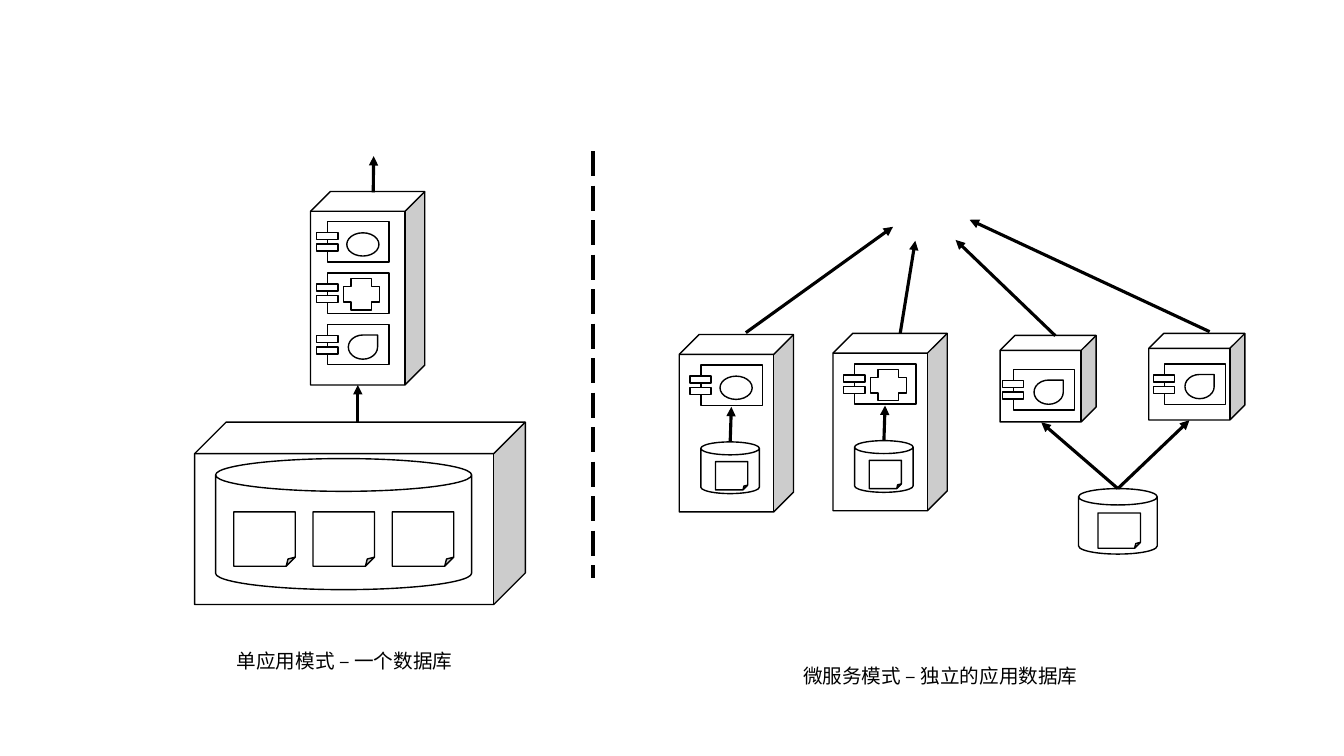
from pptx import Presentation
from pptx.dml.color import RGBColor
from pptx.enum.dml import MSO_LINE
from pptx.enum.shapes import MSO_CONNECTOR, MSO_SHAPE
from pptx.enum.text import MSO_AUTO_SIZE
from pptx.oxml.ns import qn
from pptx.util import Pt
from lxml.etree import SubElement

BLACK = "000000"
WHITE = "FFFFFF"
ICONS = {
    "oval": (MSO_SHAPE.OVAL, 13.7, 7.9, 23, 16.6),
    "plus": (MSO_SHAPE.CROSS, 11.2, 4, 25.9, 22.3),
    "tear": (MSO_SHAPE.TEAR, 14.8, 7.5, 20.9, 17.3),
}


def color(code):
    """Turn a hex string into a colour."""
    return RGBColor.from_string(code)


def add_form(slide, kind, x, y, w, h):
    """Add a white shape with a thin black outline."""
    form = slide.shapes.add_shape(kind, Pt(x), Pt(y), Pt(w), Pt(h))
    form.shadow.inherit = False
    form.fill.solid()
    form.fill.fore_color.rgb = color(WHITE)
    form.line.color.rgb = color(BLACK)
    form.line.width = Pt(1)
    return form


def add_cube(slide, x, y, w, h):
    """Add a host cube."""
    cube = add_form(slide, MSO_SHAPE.CUBE, x, y, w, h)
    cube.adjustments[0] = 0.173


def add_store(slide, x, y, w, h):
    """Add a database can."""
    add_form(slide, MSO_SHAPE.CAN, x, y, w, h)


def add_note(slide, x, y, w, h):
    """Add a sheet with a folded corner."""
    add_form(slide, MSO_SHAPE.FOLDED_CORNER, x, y, w, h)


def add_part(slide, x, y, icon):
    """Add a component box with two tabs and an icon."""
    box = MSO_SHAPE.FLOWCHART_PROCESS
    add_form(slide, box, x, y, 43.9, 28.8)
    for drop in (7.9, 16):
        add_form(slide, box, x - 7.7, y + drop, 15.1, 5)
    kind, dx, dy, w, h = ICONS[icon]
    add_form(slide, kind, x + dx, y + dy, w, h)


def add_line(slide, x1, y1, x2, y2):
    """Add a thick black line."""
    line = slide.shapes.add_connector(
        MSO_CONNECTOR.STRAIGHT, Pt(x1), Pt(y1), Pt(x2), Pt(y2))
    line.line.color.rgb = color(BLACK)
    line.line.width = Pt(2.25)
    SubElement(line._element.spPr, qn("a:effectLst"))
    return line


def add_arrow(slide, x1, y1, x2, y2):
    """Add a line with an arrowhead at its end."""
    arrow = add_line(slide, x1, y1, x2, y2)
    SubElement(arrow.line._get_or_add_ln(), qn("a:tailEnd"), type="triangle")


def add_label(slide, x, y, w, text):
    """Add a caption."""
    label = slide.shapes.add_textbox(Pt(x), Pt(y), Pt(w), Pt(24.2))
    frame = label.text_frame
    frame.word_wrap = False
    frame.auto_size = MSO_AUTO_SIZE.SHAPE_TO_FIT_TEXT
    frame.text = text
    font = frame.paragraphs[0].font
    font.name = "Calibri"
    font.size = Pt(14)
    font.color.rgb = color(BLACK)


def add_single(slide):
    """Draw the single application over one database."""
    add_cube(slide, 139, 301.5, 236.2, 130.3)
    add_cube(slide, 221.8, 136.8, 81.6, 138.2)
    add_store(slide, 154, 327.6, 182.9, 93.6)
    for i in range(3):
        add_note(slide, 167 + 56.6 * i, 365.6, 43.9, 38.9)
    for i, icon in enumerate(ICONS):
        add_part(slide, 234, 158.4 + 36.7 * i, icon)
    add_arrow(slide, 255.6, 301.5, 255.6, 275)
    add_arrow(slide, 266.6, 137.4, 266.9, 111.5)


def add_service(slide, x, y, icon):
    """Draw a service that holds its own database."""
    add_cube(slide, x, y, 81.6, 126.7)
    add_part(slide, x + 15.4, y + 21.8, icon)
    add_store(slide, x + 15.4, y + 76.7, 41.8, 36.9)
    add_note(slide, x + 25.9, y + 90.7, 23, 20.2)
    add_arrow(slide, x + 36.4, y + 76.4, x + 37.2, y + 51.6)


def add_shared(slide):
    """Draw two services that share one database."""
    for x, y, dx, dy in ((714.4, 239.6, 9.4, 24.4), (820.6, 238.2, 11, 21.8)):
        add_cube(slide, x, y, 68.6, 61.8)
        add_part(slide, x + dx, y + dy, "tear")
    add_store(slide, 770.4, 349, 56.2, 46.8)
    add_note(slide, 784.3, 366.4, 30.4, 25.2)
    add_arrow(slide, 798.5, 349, 743.8, 301.7)
    add_arrow(slide, 798.5, 349, 849.6, 300.2)


def main():
    """Build the slide."""
    deck = Presentation()
    deck.slide_width, deck.slide_height = Pt(960), Pt(540)
    slide = deck.slides.add_slide(deck.slide_layouts[6])
    add_single(slide)
    add_label(slide, 162, 460.1, 169.9, "单应用模式 – 一个数据库")
    add_service(slide, 485.2, 239, "oval")
    add_service(slide, 595, 238.1, "plus")
    add_shared(slide)
    add_label(slide, 566.6, 470.9, 216, "微服务模式 – 独立的应用数据库")
    split = add_line(slide, 423.6, 108, 423.6, 412.6)
    split.line.dash_style = MSO_LINE.LONG_DASH
    for ends in (
        (532.8, 237.6, 637.9, 162),
        (643, 238.3, 653.8, 172),
        (753.8, 239.8, 682.6, 171.4),
        (864, 236.9, 692.6, 157),
    ):
        add_arrow(slide, *ends)
    deck.save("out.pptx")


if __name__ == "__main__":
    main()
